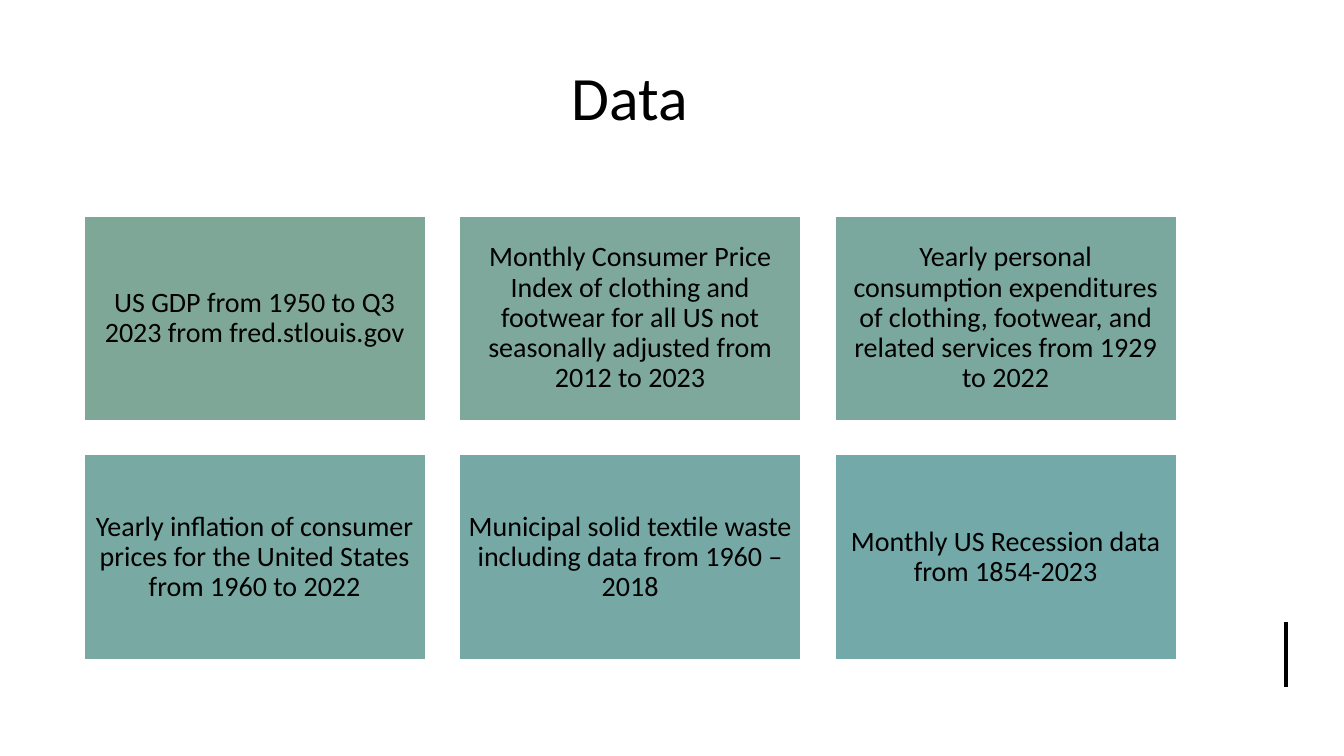
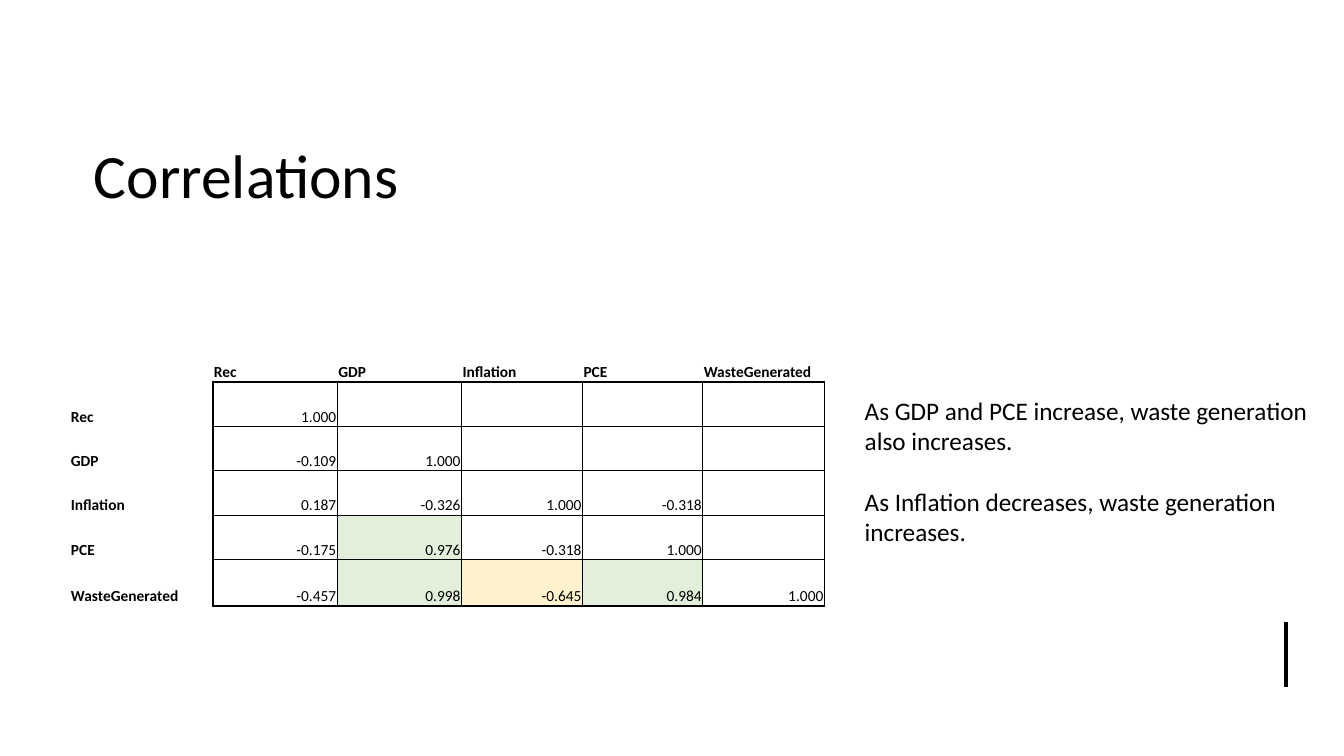
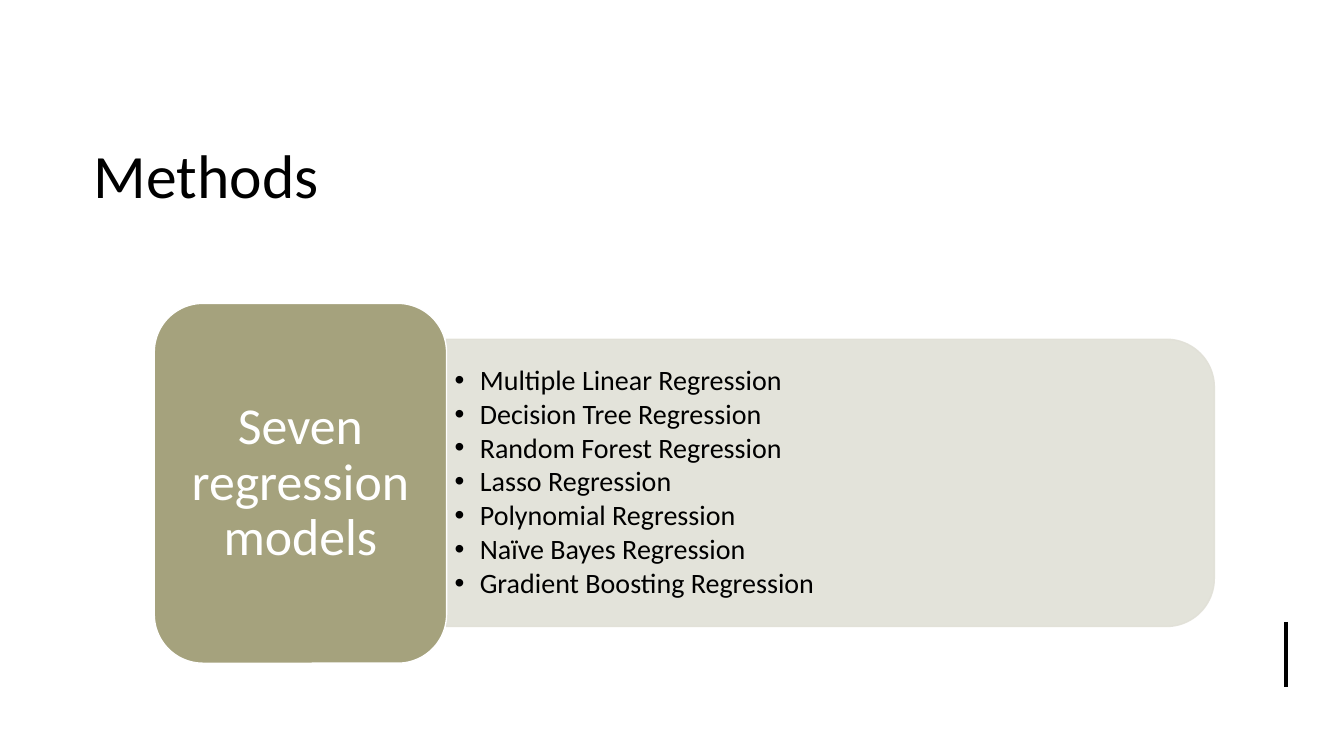
from dataclasses import dataclass

from lxml import etree
from pptx import Presentation
from pptx import util as u
from pptx.dml.color import RGBColor
from pptx.enum import shapes, text
from pptx.oxml import ns

LEFT, CENTER, RIGHT = text.PP_ALIGN.LEFT, text.PP_ALIGN.CENTER, text.PP_ALIGN.RIGHT
MIDDLE, TOP, BOTTOM = text.MSO_ANCHOR.MIDDLE, text.MSO_ANCHOR.TOP, text.MSO_ANCHOR.BOTTOM


@dataclass(frozen=True)
class Theme:
    font: str = "Calibri"
    ink: str = "000000"
    paper: str = "FFFFFF"
    cards: tuple = ("7FA798", "7DA89B", "7BA89E", "78A9A2", "76A9A6", "74A9AA")
    olive: str = "A5A27D"
    pale_olive: str = "E1E0D7"
    positive: str = "E2EFDA"
    negative: str = "FFF2CC"
    title: float = 44
    label: float = 37
    body: float = 20
    note: float = 18
    cell: float = 11


def add_xml(parent, tag, **attributes):
    element = etree.SubElement(parent, ns.qn(tag))
    for name, value in attributes.items():
        element.set(name, str(value))
    return element


def set_all(target, values):
    for name, value in values.items():
        setattr(target, name, value)


class Deck:
    """Holds the style and current slide; boxes are percent of the slide size."""

    def __init__(self, theme):
        self.theme = theme
        self.presentation = Presentation()
        self.presentation.slide_width = u.Inches(13.33)
        self.presentation.slide_height = u.Inches(7.5)
        self.slide = None

    def x(self, share):
        return round(self.presentation.slide_width * share / 100)

    def y(self, share):
        return round(self.presentation.slide_height * share / 100)

    def place(self, box):
        left, top, width, height = box
        return self.x(left), self.y(top), self.x(width), self.y(height)

    def new_slide(self, title, box=(6.25, 12.5, 85.1, 20.9), align=LEFT):
        self.slide = self.presentation.slides.add_slide(self.presentation.slide_layouts[6])
        self.textbox(box, [title], self.theme.title, align=align, anchor=MIDDLE)
        self.accent_line()

    def accent_line(self):
        line = self.slide.shapes.add_connector(
            shapes.MSO_CONNECTOR.STRAIGHT,
            self.x(95.7), self.y(82.25), self.x(95.7), self.y(90.9))
        line.line.color.rgb = RGBColor.from_string(self.theme.ink)
        line.line.width = u.Pt(3)
        add_xml(line._element.spPr, "a:effectLst")

    def add_lines(self, frame, lines, size, color=None, bold=False, align=LEFT,
                  spacing=1.0, gap=0, bullet=False):
        for index, line in enumerate(lines):
            paragraph = frame.paragraphs[0] if index == 0 else frame.add_paragraph()
            set_all(paragraph, {"alignment": align, "line_spacing": spacing,
                                "space_before": u.Pt(gap if index else 0)})
            if bullet:
                properties = paragraph._p.get_or_add_pPr()
                properties.set("marL", str(u.Inches(0.25)))
                properties.set("indent", str(-u.Inches(0.25)))
                add_xml(properties, "a:buFont", typeface="Arial")
                add_xml(properties, "a:buChar", char="•")
            run = paragraph.add_run()
            run.text = line
            set_all(run.font, {"name": self.theme.font, "size": u.Pt(size), "bold": bold})
            run.font.color.rgb = RGBColor.from_string(color or self.theme.ink)

    def fit(self, frame, anchor, insets):
        side, edge = (u.Inches(inset) for inset in insets)
        set_all(frame, {"word_wrap": True, "vertical_anchor": anchor,
                        "margin_left": side, "margin_right": side,
                        "margin_top": edge, "margin_bottom": edge})

    def textbox(self, box, lines, size, anchor=TOP, insets=(0.1, 0.05), **style):
        frame = self.slide.shapes.add_textbox(*self.place(box)).text_frame
        self.fit(frame, anchor, insets)
        self.add_lines(frame, lines, size, **style)

    def block(self, kind, box, fill, line):
        shape = self.slide.shapes.add_shape(kind, *self.place(box))
        shape.shadow.inherit = False
        shape.fill.solid()
        shape.fill.fore_color.rgb = RGBColor.from_string(fill)
        shape.line.color.rgb = RGBColor.from_string(line)
        shape.line.width = u.Pt(1)
        return shape

    def card(self, kind, box, fill, label, size, color, insets):
        shape = self.block(kind, box, fill, self.theme.paper)
        self.fit(shape.text_frame, MIDDLE, insets)
        self.add_lines(shape.text_frame, [label], size, color, align=CENTER, spacing=0.9)

    def side_panel(self, box, fill):
        """A panel rounded on its right side, made by a quarter turn."""
        panel = self.block(shapes.MSO_SHAPE.ROUND_2_SAME_RECTANGLE, box, fill, fill)
        left, top, width, height = self.place(box)
        set_all(panel, {"left": left + (width - height) // 2,
                        "top": top + (height - width) // 2,
                        "width": height, "height": width, "rotation": 90})
        for color in panel._element.spPr.iter(ns.qn("a:srgbClr")):
            add_xml(color, "a:alpha", val=90000)

    def border(self, cell, side, visible):
        line = add_xml(cell._tc.get_or_add_tcPr(), f"a:ln{side}", w=u.Pt(1))
        if visible:
            add_xml(add_xml(line, "a:solidFill"), "a:srgbClr", val=self.theme.ink)
        else:
            add_xml(line, "a:noFill")

    def matrix(self, origin, widths, heights, rows, fills):
        box = (*origin, sum(widths), sum(heights))
        table = self.slide.shapes.add_table(len(rows), len(widths), *self.place(box)).table
        set_all(table, {"first_row": False, "horz_banding": False})
        for column, width in zip(table.columns, widths):
            column.width = self.x(width)
        for row, height in zip(table.rows, heights):
            row.height = self.y(height)
        for r, values in enumerate(rows):
            for c, value in enumerate(values):
                cell = table.cell(r, c)
                inner = r > 0 and c > 0
                for side, visible in (("L", inner), ("R", r > 0), ("T", inner), ("B", c > 0)):
                    self.border(cell, side, visible)
                cell.fill.solid()
                cell.fill.fore_color.rgb = RGBColor.from_string(
                    fills.get((r, c), self.theme.paper))
                edge = u.Inches(0.01)
                set_all(cell, {"vertical_anchor": BOTTOM, "margin_left": edge,
                               "margin_right": edge, "margin_top": edge, "margin_bottom": 0})
                if value:
                    self.add_lines(cell.text_frame, [value], self.theme.cell,
                                   bold=not inner, align=RIGHT if inner else LEFT)


def data_slide(deck):
    theme = deck.theme
    deck.new_slide("Data", (6.25, 4.25, 81.25, 16.95), CENTER)
    # Six sources in a grid of three columns
    sources = [
        "US GDP from 1950 to Q3 2023 from fred.stlouis.gov",
        "Monthly Consumer Price Index of clothing and footwear for all US "
        "not seasonally adjusted from 2012 to 2023",
        "Yearly personal consumption expenditures of clothing, footwear, "
        "and related services from 1929 to 2022",
        "Yearly inflation of consumer prices for the United States from 1960 to 2022",
        "Municipal solid textile waste including data from 1960 – 2018",
        "Monthly US Recession data from 1854-2023",
    ]
    for index, (source, fill) in enumerate(zip(sources, theme.cards)):
        row, column = divmod(index, 3)
        box = (6.25 + 27.94 * column, 28.55 + 31.6 * row, 25.4, 27.1)
        deck.card(shapes.MSO_SHAPE.RECTANGLE, box, fill, source,
                  theme.body, theme.ink, (0.08, 0.08))


def correlations_slide(deck):
    theme = deck.theme
    deck.new_slide("Correlations")
    # Correlation matrix
    names = ["Rec", "GDP", "Inflation", "PCE", "WasteGenerated"]
    values = [
        ["1.000", "", "", "", ""],
        ["-0.109", "1.000", "", "", ""],
        ["0.187", "-0.326", "1.000", "-0.318", ""],
        ["-0.175", "0.976", "-0.318", "1.000", ""],
        ["-0.457", "0.998", "-0.645", "0.984", "1.000"],
    ]
    rows = [["", *names]] + [[name, *line] for name, line in zip(names, values)]
    fills = {(4, 2): theme.positive, (5, 2): theme.positive,
             (5, 3): theme.negative, (5, 4): theme.positive}
    deck.matrix((5.2, 44.67), [10.65, 9.25, 9.25, 9, 8.95, 9.05],
                [5.87] * 5 + [6.15], rows, fills)
    # Findings
    deck.textbox((63.6, 51.6, 35.78, 21.6),
                 ["As GDP and PCE increase, waste generation also increases.",
                  "As Inflation decreases, waste generation increases."],
                 theme.note, gap=22)


def methods_slide(deck):
    theme = deck.theme
    deck.new_slide("Methods")
    # Model list on a pale panel
    models = ["Multiple Linear", "Decision Tree", "Random Forest", "Lasso",
              "Polynomial", "Naïve Bayes", "Gradient Boosting"]
    deck.side_panel((33.2, 44.87, 57.15, 38), theme.pale_olive)
    deck.textbox((33.23, 46.67, 56.1, 34.4), [f"{model} Regression" for model in models],
                 theme.body, MIDDLE, (0.08, 0.04), spacing=0.9, gap=2.6, bullet=True)
    # Heading block
    deck.card(shapes.MSO_SHAPE.ROUNDED_RECTANGLE, (11.48, 40.13, 21.75, 47.6), theme.olive,
              "Seven regression models", theme.label, theme.paper, (0.15, 0.08))


def main():
    deck = Deck(Theme())
    for build in (data_slide, correlations_slide, methods_slide):
        build(deck)
    deck.presentation.save("out.pptx")


if __name__ == "__main__":
    main()
